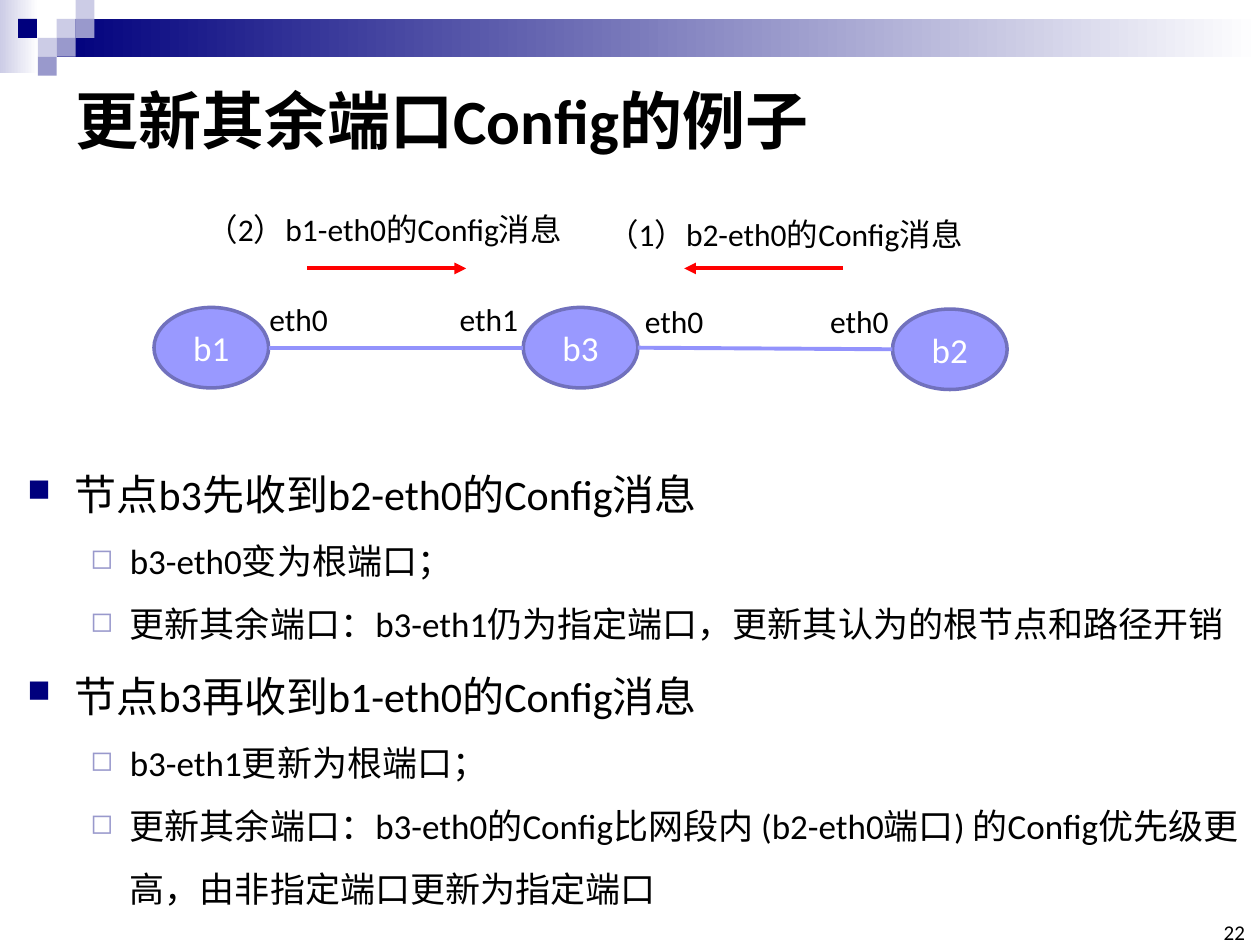
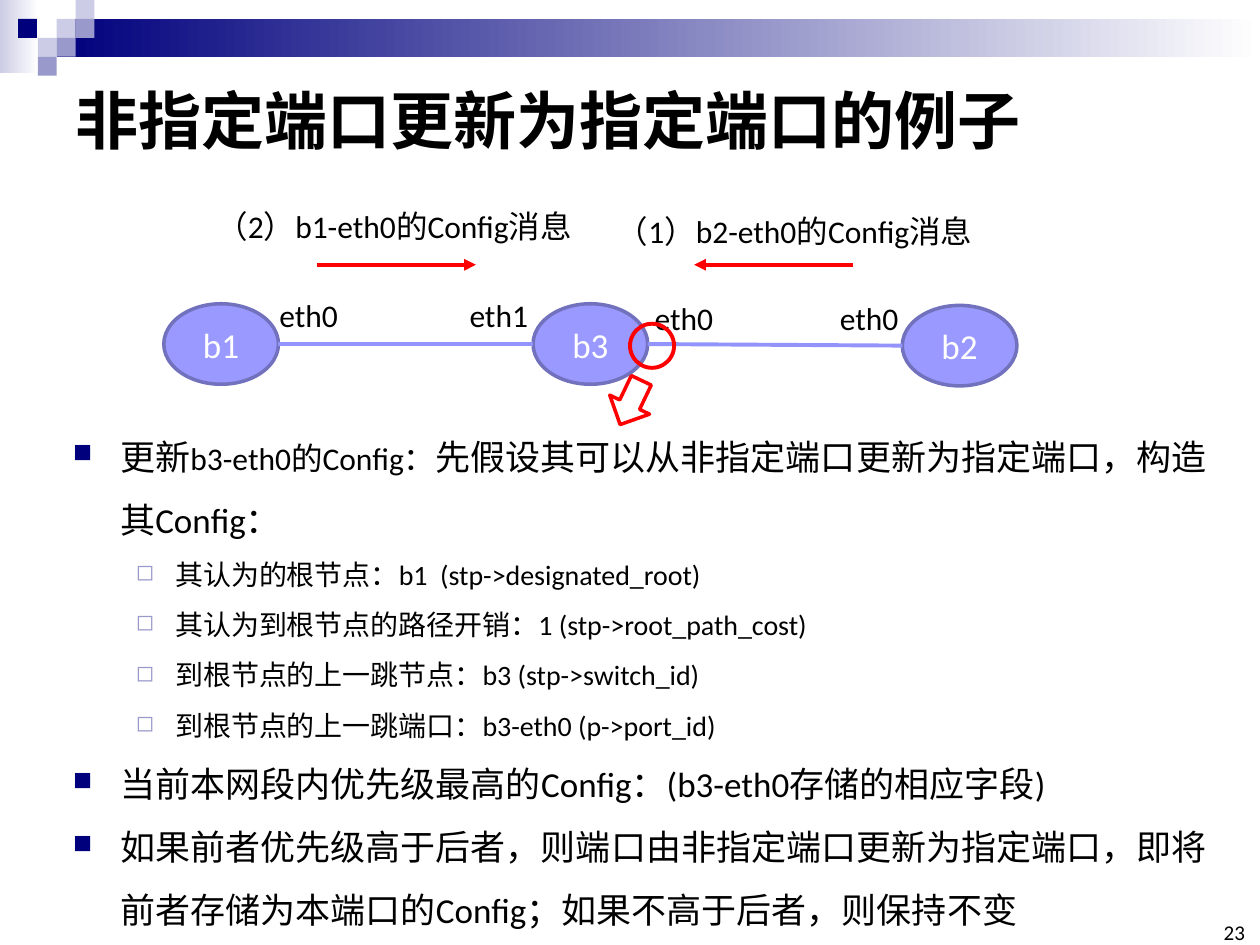
import dataclasses

import pptx
import pptx.dml.color
import pptx.enum.shapes
import pptx.enum.text
import pptx.oxml.ns
import pptx.util
from lxml import etree

Pt = pptx.util.Pt
Kind = pptx.enum.shapes.MSO_SHAPE
Align = pptx.enum.text.PP_ALIGN
Anchor = pptx.enum.text.MSO_ANCHOR
qn = pptx.oxml.ns.qn


@dataclasses.dataclass(frozen=True)
class Theme:
    font: str = "Calibri"
    black: str = "000000"
    white: str = "FFFFFF"
    navy: str = "00007D"
    lilac: str = "9999CC"
    pale: str = "CCCCE6"
    node_fill: str = "9999FF"
    node_edge: str = "7171BD"
    link: str = "9393FC"
    red: str = "FF0000"
    title_size: float = 36
    lead_size: float = 24
    text_size: float = 20
    label_size: float = 18
    detail_size: float = 16
    number_size: float = 12
    stroke: float = 2.25
    thin_stroke: float = 2


THEME = Theme()
BULLETS = [
    {"margin": 27, "hang": 27, "char": "■", "color": THEME.navy, "scale": 75},
    {"margin": 58.5, "hang": 22.5, "char": "◻", "color": THEME.lilac, "scale": 80},
]
TILE = 10.8
TILES = [
    (32.4, 1, THEME.pale), (43.2, 0, THEME.pale), (43.2, 1, THEME.lilac),
    (21.6, 2, THEME.pale), (10.3, 1, THEME.navy), (32.4, 2, THEME.lilac),
    (21.6, 3, THEME.lilac),
]
NODE_WIDTH, NODE_HEIGHT, NODE_STEP = 65.5, 46, 211
NODES = [("b1", 175.7), ("b3", 175.7), ("b2", 176.6)]
PORTS = [("eth0", 146.9, 167.8), ("eth1", 255.6, 167.8),
         ("eth0", 467.3, 169.2), ("eth0", 361.4, 169.2)]
MESSAGES = [("（1）b2-eth0的Config消息", 339.8, 119.5, 481.7, 391),
            ("（2）b1-eth0的Config消息", 110.9, 116.6, 175.7, 266.4)]
MESSAGE_ARROW_TOP = 153.4

UPDATE_RULES = [
    (0, [("节点b3先收到b2-eth0的Config消息", THEME.lead_size)]),
    (1, [("b3-eth0变为根端口；", THEME.text_size)]),
    (1, [("更新其余端口：b3-eth1仍为指定端口，更新其认为的根节点和路径开销", THEME.text_size)]),
    (0, [("节点b3再收到b1-eth0的Config消息", THEME.lead_size)]),
    (1, [("b3-eth1更新为根端口；", THEME.text_size)]),
    (1, [("更新其余端口：b3-eth0的Config比网段内 (b2-eth0端口) 的Config优先级更高，"
          "由非指定端口更新为指定端口", THEME.text_size)]),
]
PROMOTION_RULES = [
    (0, [("更新", THEME.text_size), ("b3-eth0的Config：", THEME.label_size),
         ("先假设其可以从非指定端口更新为指定端口，构造其Config：", THEME.text_size)]),
    (1, [("其认为的根节点：b1  (stp->designated_root)", THEME.detail_size)]),
    (1, [("其认为到根节点的路径开销：1 (stp->root_path_cost)", THEME.detail_size)]),
    (1, [("到根节点的上一跳节点：b3 (stp->switch_id)", THEME.detail_size)]),
    (1, [("到根节点的上一跳端口：b3-eth0 (p->port_id)", THEME.detail_size)]),
    (0, [("当前本网段内优先级最高的Config：(b3-eth0存储的相应字段)", THEME.text_size)]),
    (0, [("如果前者优先级高于后者，则端口由非指定端口更新为指定端口，"
          "即将前者存储为本端口的Config；如果不高于后者，则保持不变", THEME.text_size)]),
]


def rgb(color):
    return pptx.dml.color.RGBColor.from_string(color)


def set_all(target, formats):
    for attribute, value in formats.items():
        setattr(target, attribute, value)


def add_run(paragraph, text, size, color=THEME.black, bold=False):
    run = paragraph.add_run()
    run.text = text
    set_all(run.font, {"name": THEME.font, "size": Pt(size), "bold": bold})
    run.font.color.rgb = rgb(color)


def add_label(slide, text, box, size, align=Align.LEFT, **frame_formats):
    label = slide.shapes.add_textbox(*map(Pt, box)).text_frame
    set_all(label, {"word_wrap": False, **frame_formats})
    label.paragraphs[0].alignment = align
    add_run(label.paragraphs[0], text, size)


def add_figure(slide, kind, box, fill=None, edge=None, width=THEME.stroke):
    figure = slide.shapes.add_shape(kind, *map(Pt, box))
    figure.shadow.inherit = False
    if isinstance(fill, tuple):
        figure.fill.gradient()
        figure.fill.gradient_angle = 0
        for stop, color in zip(figure.fill.gradient_stops, fill):
            stop.color.rgb = rgb(color)
    elif fill:
        figure.fill.solid()
        figure.fill.fore_color.rgb = rgb(fill)
    else:
        figure.fill.background()
    if edge:
        figure.line.color.rgb = rgb(edge)
        figure.line.width = Pt(width)
    else:
        figure.line.fill.background()
    return figure


def add_line(slide, start, end, color, arrow=False):
    line = slide.shapes.add_connector(
        pptx.enum.shapes.MSO_CONNECTOR.STRAIGHT, *map(Pt, start + end))
    line.line.color.rgb = rgb(color)
    line.line.width = Pt(THEME.stroke)
    properties = line._element.spPr
    if arrow:
        etree.SubElement(properties.find(qn("a:ln")), qn("a:tailEnd"), type="triangle")
    etree.SubElement(properties, qn("a:effectLst"))


def add_banner(slide):
    add_figure(slide, Kind.RECTANGLE, (0, 0, 22, 42), (THEME.pale, THEME.white))
    add_figure(slide, Kind.RECTANGLE, (32.4, TILE, 687.6, 2 * TILE), (THEME.navy, THEME.white))
    for left, row, color in TILES:
        add_figure(slide, Kind.RECTANGLE, (left, row * TILE, TILE, TILE), color)


def set_title(slide, text):
    title = slide.shapes.title
    set_all(title, {"left": Pt(36), "top": Pt(36), "width": Pt(648), "height": Pt(64)})
    set_all(title.text_frame, {"vertical_anchor": Anchor.MIDDLE, "word_wrap": True,
                               "auto_size": pptx.enum.text.MSO_AUTO_SIZE.NONE})
    heading = title.text_frame.paragraphs[0]
    heading.alignment = Align.LEFT
    add_run(heading, text, THEME.title_size, bold=True)


def add_bullet(paragraph, level):
    style = BULLETS[level]
    set_all(paragraph, {"level": level, "line_spacing": 1.5})
    properties = paragraph._p.get_or_add_pPr()
    properties.set("marL", str(Pt(style["margin"])))
    properties.set("indent", str(-Pt(style["hang"])))
    color = etree.SubElement(properties, qn("a:buClr"))
    etree.SubElement(color, qn("a:srgbClr"), val=style["color"])
    etree.SubElement(properties, qn("a:buSzPct"), val=str(style["scale"] * 1000))
    etree.SubElement(properties, qn("a:buChar"), char=style["char"])


def add_rules(slide, rules, box):
    body = slide.shapes.add_textbox(*map(Pt, box)).text_frame
    body.word_wrap = True
    for index, (level, pieces) in enumerate(rules):
        rule = body.add_paragraph() if index else body.paragraphs[0]
        add_bullet(rule, level)
        for text, size in pieces:
            add_run(rule, text, size)


def add_network(slide, dx, dy):
    for index, (name, top) in enumerate(NODES):
        left = 88 + dx + index * NODE_STEP
        node = add_figure(slide, Kind.OVAL, (left, top + dy, NODE_WIDTH, NODE_HEIGHT),
                          THEME.node_fill, THEME.node_edge, THEME.thin_stroke)
        node.text_frame.vertical_anchor = Anchor.MIDDLE
        node.text_frame.paragraphs[0].alignment = Align.CENTER
        add_run(node.text_frame.paragraphs[0], name, THEME.text_size, THEME.white)
        middle = top + dy + NODE_HEIGHT / 2
        if index:
            add_line(slide, previous_end, (left, middle), THEME.link)
        previous_end = (left + NODE_WIDTH, middle)
    for port, left, top in PORTS:
        add_label(slide, port, (left + dx, top + dy, 48, 29), THEME.label_size)
    for message, left, top, start, end in MESSAGES:
        arrow_top = MESSAGE_ARROW_TOP + dy
        add_line(slide, (start + dx, arrow_top), (end + dx, arrow_top), THEME.red, arrow=True)
        add_label(slide, message, (left + dx, top + dy, 219.6, 29), THEME.label_size,
                  word_wrap=True)


def add_port_highlight(slide):
    add_figure(slide, Kind.OVAL, (360, 185, 25.2, 25.2), edge=THEME.red)
    pointer = add_figure(slide, Kind.DOWN_ARROW, (347.8, 216, 25.2, 28),
                         edge=THEME.red, width=THEME.thin_stroke)
    pointer.rotation = 25.6


def add_page(deck, title, number, rules, rules_box, network_shift):
    slide = deck.slides.add_slide(deck.slide_layouts[5])
    add_banner(slide)
    set_title(slide, title)
    add_rules(slide, rules, rules_box)
    add_label(slide, number, (694.8, 527.8, 16.6, 12.2), THEME.number_size, Align.RIGHT,
              vertical_anchor=Anchor.BOTTOM, margin_left=0, margin_right=0,
              margin_top=0, margin_bottom=0)
    add_network(slide, *network_shift)
    return slide


def main():
    deck = pptx.Presentation()
    set_all(deck, {"slide_width": Pt(720), "slide_height": Pt(540)})
    add_page(deck, "更新其余端口Config的例子", "22",
             UPDATE_RULES, (8.6, 249.8, 711.4, 252.7), (0, 0))
    promotion = add_page(deck, "非指定端口更新为指定端口的例子", "23",
                         PROMOTION_RULES, (34.6, 233.3, 675.4, 251.3), (5.6, -2.1))
    add_port_highlight(promotion)
    deck.save("out.pptx")


if __name__ == "__main__":
    main()
